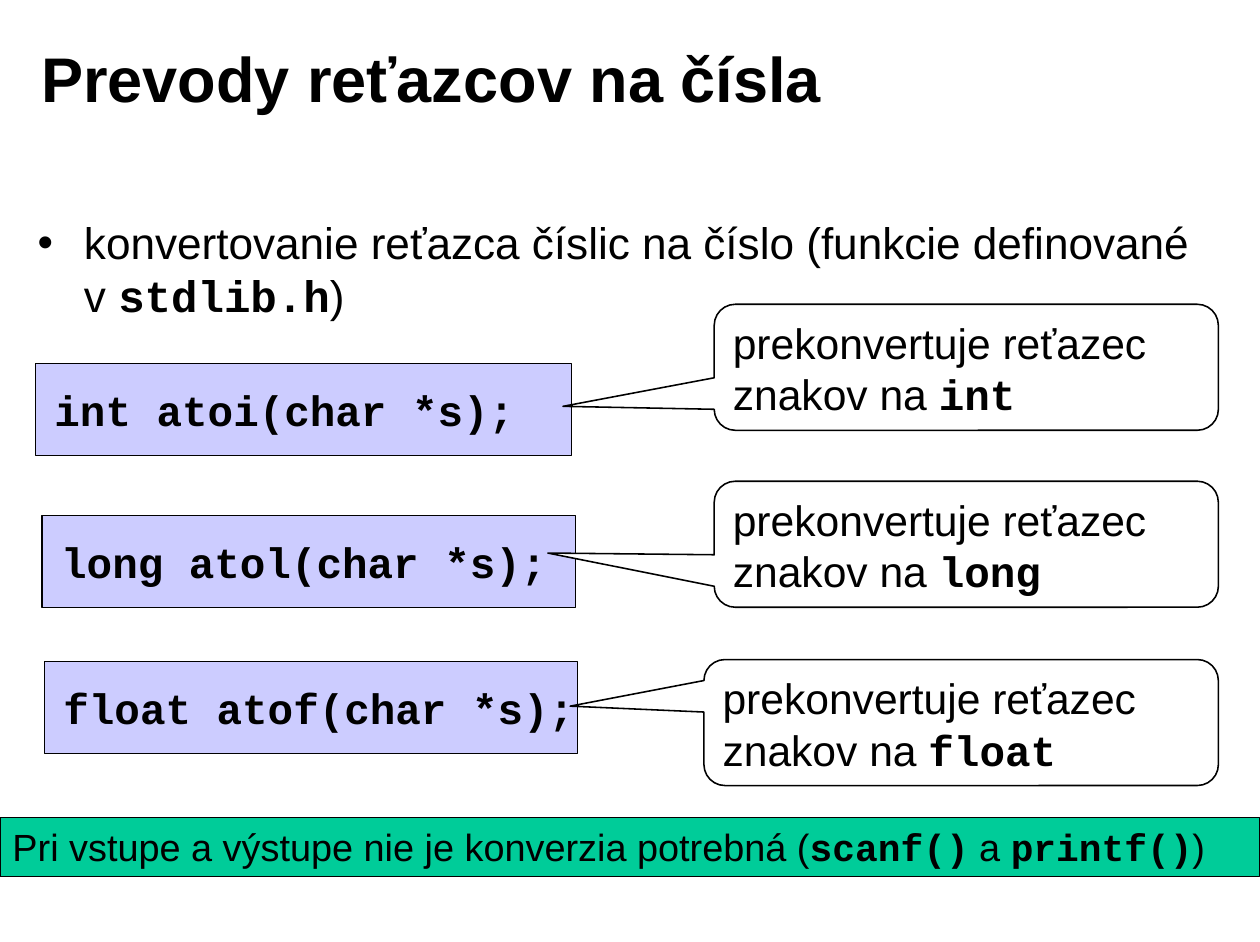
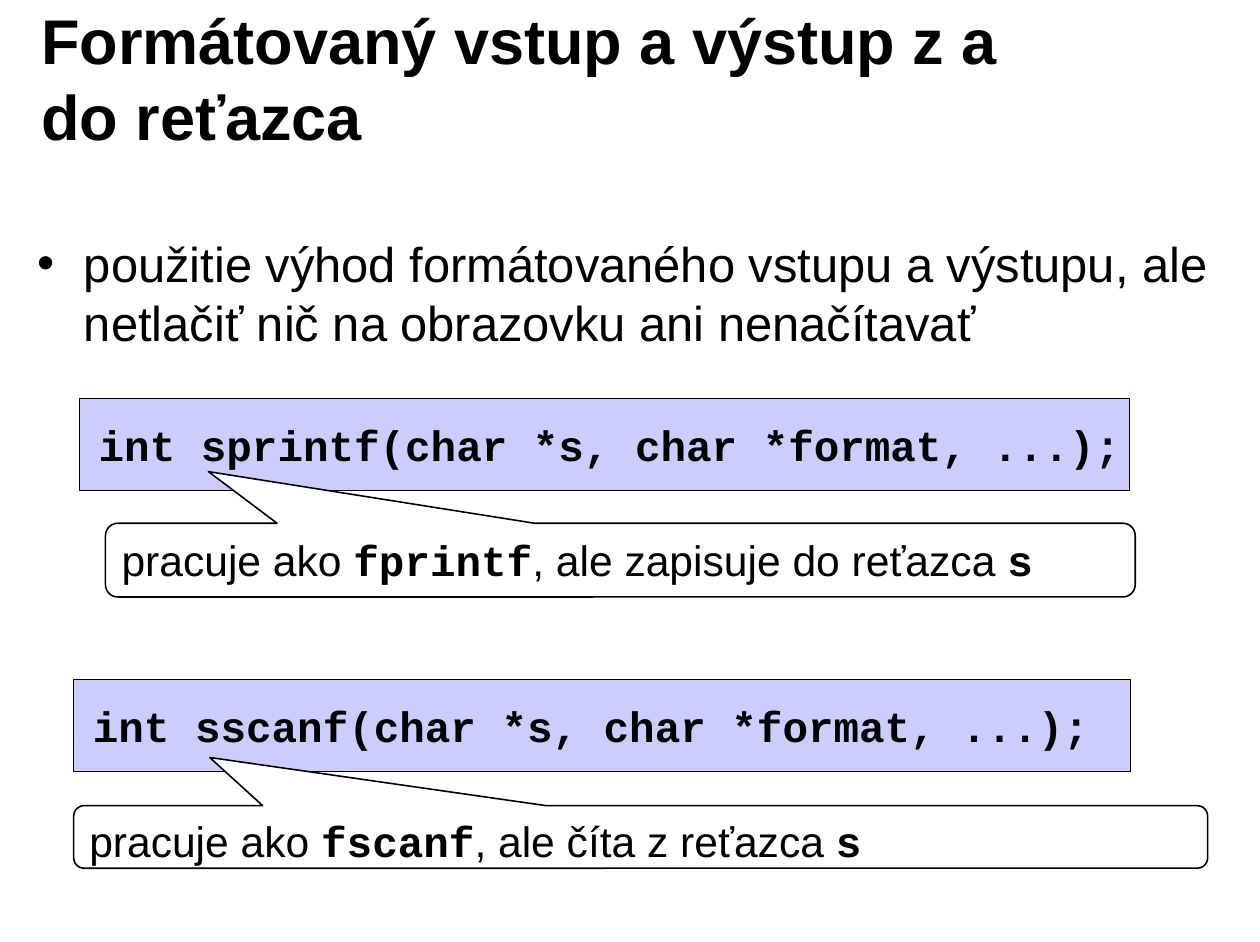
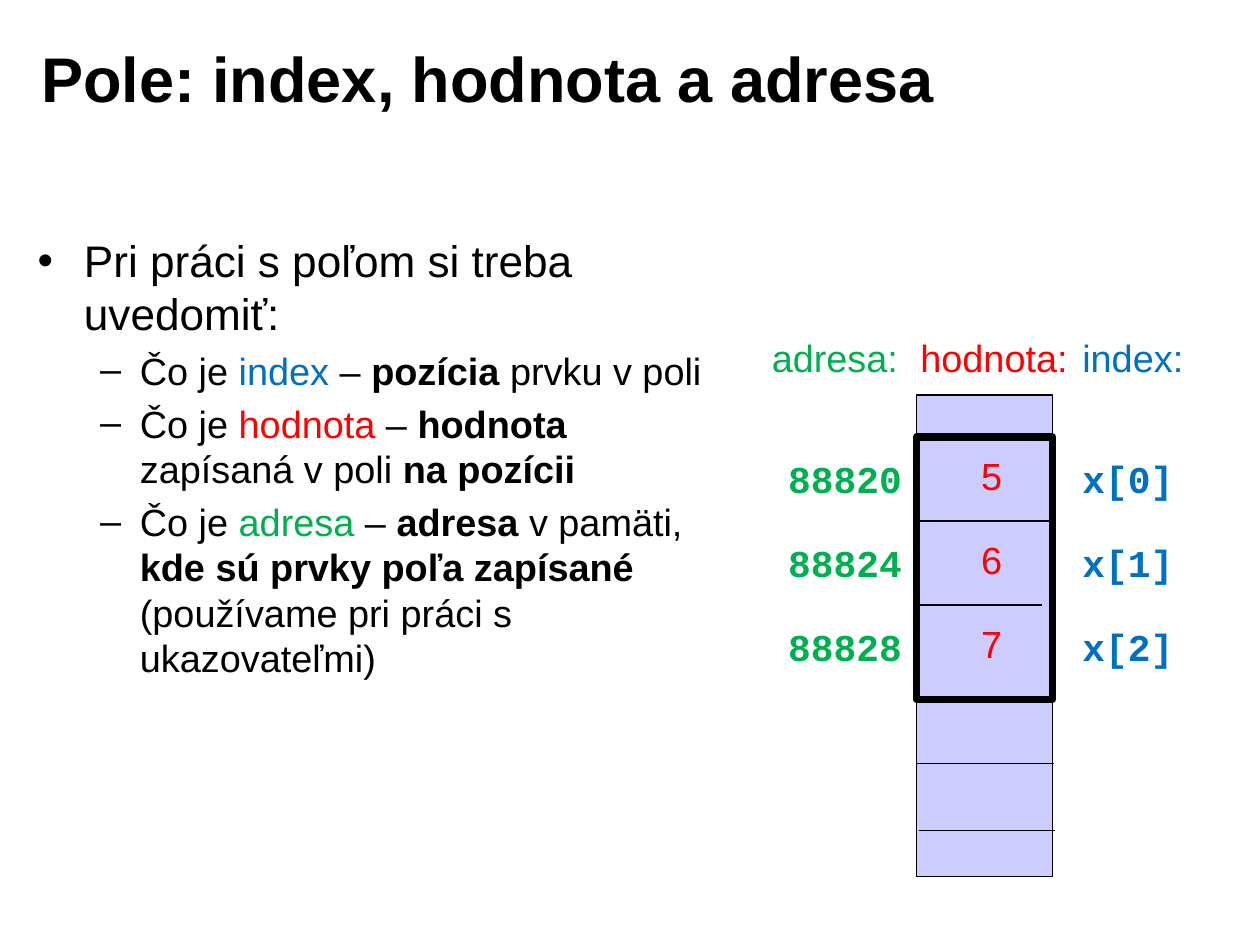
from dataclasses import dataclass

from lxml.etree import SubElement as Sub
from pptx import Presentation
from pptx.dml.color import RGBColor
from pptx.enum.shapes import MSO_CONNECTOR as Link, MSO_SHAPE as Form
from pptx.enum.text import MSO_ANCHOR as Anchor, PP_ALIGN as Align
from pptx.oxml.ns import qn
from pptx.util import Cm, Pt

BLACK = RGBColor(0x00, 0x00, 0x00)
WHITE = RGBColor(0xFF, 0xFF, 0xFF)
LILAC = RGBColor(0xCC, 0xCC, 0xFF)
TEAL = RGBColor(0x00, 0xCC, 0x99)
BLUE = RGBColor(0x00, 0x70, 0xC0)
RED = RGBColor(0xFF, 0x00, 0x00)
GREEN = RGBColor(0x00, 0xB0, 0x50)

SANS = "Arial"
MONO = "Courier New"
WIDE, HIGH = 28.19, 21.08
PAD = (0.28, 0.15, 0.28, 0.15)
BULLETS = (("•", 1.04, -1.04), ("–", 2.29, -0.89))


@dataclass
class Part:
    text: str
    font: str = SANS
    bold: bool = False
    hue: RGBColor = BLACK


def code(text, hue=BLACK):
    return Part(text, MONO, True, hue)


def strong(text):
    return Part(text, bold=True)


def tint(text, hue):
    return Part(text, hue=hue)


def write(par, parts, size):
    for part in parts:
        if isinstance(part, str):
            part = Part(part)
        run = par.add_run()
        run.text = part.text
        run.font.name = part.font
        run.font.size = Pt(size)
        run.font.bold = part.bold
        run.font.color.rgb = part.hue


def place(x, y, w, h):
    return Cm(x), Cm(y), Cm(w), Cm(h)


def setup(shape, pad=PAD, anchor=Anchor.TOP, wrap=True):
    frame = shape.text_frame
    frame.word_wrap = wrap
    frame.vertical_anchor = anchor
    (frame.margin_left, frame.margin_top,
     frame.margin_right, frame.margin_bottom) = map(Cm, pad)
    return frame


def add_box(slide, form, area, fill, weight=0.75):
    box = slide.shapes.add_shape(form, *place(*area))
    box.shadow.inherit = False
    if fill is None:
        box.fill.background()
    else:
        box.fill.solid()
        box.fill.fore_color.rgb = fill
    box.line.color.rgb = BLACK
    box.line.width = Pt(weight)
    return box


def fill_box(box, parts, size, **look):
    par = setup(box, **look).paragraphs[0]
    par.alignment = Align.LEFT
    write(par, parts, size)


def add_title(slide, text):
    box = slide.shapes.add_textbox(*place(0.64, 0.43, 22.63, 2.59))
    frame = setup(box, anchor=Anchor.MIDDLE)
    write(frame.paragraphs[0], [strong(text)], 40)


def add_list(slide, area, items):
    frame = setup(slide.shapes.add_textbox(*place(*area)))
    for i, (level, size, parts) in enumerate(items):
        par = frame.add_paragraph() if i else frame.paragraphs[0]
        par.level = level
        mark, left, hang = BULLETS[level]
        props = par._p.get_or_add_pPr()
        props.set("marL", str(Cm(left)))
        props.set("indent", str(Cm(hang)))
        Sub(Sub(props, qn("a:spcBef")), qn("a:spcPct")).set("val", "20000")
        Sub(props, qn("a:buFont")).set("typeface", SANS)
        Sub(props, qn("a:buChar")).set("char", mark)
        write(par, parts, size)


def add_code(slide, x, y, w, text):
    box = add_box(slide, Form.RECTANGLE, (x, y, w, 2.06), LILAC)
    fill_box(box, [code(text)], 27, pad=(0.43, 0.15, 0, 0.15),
             anchor=Anchor.MIDDLE)


def add_note(slide, area, tip, parts):
    box = add_box(slide, Form.ROUNDED_RECTANGULAR_CALLOUT, area, WHITE, 1)
    for i, value in enumerate(tip):
        box.adjustments[i] = value
    fill_box(box, parts, 27)


def add_label(slide, x, y, w, part):
    box = slide.shapes.add_textbox(*place(x, y, w, 1.28))
    frame = setup(box, pad=(0.25, 0.13, 0.25, 0.13), wrap=False)
    par = frame.paragraphs[0]
    par.alignment = Align.CENTER
    write(par, [part], 24)


def add_rule(slide, left, right, y):
    line = slide.shapes.add_connector(
        Link.STRAIGHT, Cm(left), Cm(y), Cm(right), Cm(y))
    line.line.color.rgb = BLACK
    line.line.width = Pt(0.75)
    Sub(line._element.spPr, qn("a:effectLst"))


def show_casts(slide):
    add_title(slide, "Prevody reťazcov na čísla")
    add_list(slide, (0.56, 4.67, 26.7, 3.45), [
        (0, 28, ["konvertovanie reťazca číslic na číslo (funkcie definované v ",
                 code("stdlib.h"), ")"])])
    rows = (
        ("int", "atoi", (0.79, 8.13, 11.99), (15.98, 6.81), (-0.8, 0.31)),
        ("long", "atol", (0.94, 11.53, 11.94), (15.98, 10.77), (-0.83, 0.07)),
        ("float", "atof", (0.99, 14.81, 11.94), (15.75, 14.76), (-0.76, -0.13)),
    )
    for kind, name, spot, (x, y), tip in rows:
        add_code(slide, *spot, f"{kind} {name}(char *s);")
        add_note(slide, (x, y, 27.26 - x, 2.82), tip,
                 ["prekonvertuje reťazec znakov na ", code(kind)])
    band = add_box(slide, Form.RECTANGLE, (0, 18.29, WIDE, 1.32), TEAL)
    fill_box(band, ["Pri vstupe a výstupe nie je konverzia potrebná (",
                    code("scanf()"), " a ", code("printf()"), ")"], 24)


def show_format(slide):
    add_title(slide, "Formátovaný vstup a výstup z a do reťazca")
    add_list(slide, (0.56, 5.08, 27.08, 3.6), [
        (0, 31, ["použitie výhod formátovaného vstupu a výstupu, "
                 "ale netlačiť nič na obrazovku ani nenačítavať"])])
    rows = (
        ("printf", ", ale zapisuje do reťazca ", (1.78, 8.92, 23.5),
         (2.36, 11.71, 23.04, 1.65), (-0.4, -1.2)),
        ("scanf", ", ale číta z reťazca ", (1.65, 15.21, 23.65),
         (1.65, 18.03, 25.37, 1.4), (-0.38, -1.27)),
    )
    for name, text, spot, area, tip in rows:
        add_code(slide, *spot, f"int s{name}(char *s, char *format, ...);")
        add_note(slide, area, tip,
                 ["pracuje ako ", code("f" + name), text, code("s")])


def show_array(slide):
    add_title(slide, "Pole: index, hodnota a adresa")
    add_list(slide, (0.56, 5.08, 16.03, 13.54), [
        (0, 28, ["Pri práci s poľom si treba uvedomiť:"]),
        (1, 24, ["Čo je ", tint("index", BLUE), " – ", strong("pozícia"),
                 " prvku v poli"]),
        (1, 24, ["Čo je ", tint("hodnota", RED), " – ", strong("hodnota"),
                 " zapísaná v poli ", strong("na pozícii")]),
        (1, 24, ["Čo je ", tint("adresa", GREEN), " – ", strong("adresa"),
                 " v pamäti, ", strong("kde sú prvky poľa zapísané "),
                 "(používame pri práci s ukazovateľmi)"]),
    ])
    add_box(slide, Form.RECTANGLE, (20.5, 8.84, 3.05, 10.77), LILAC)
    for left, right, y in ((20.5, 23.55, 11.66), (20.5, 23.32, 13.54),
                           (20.5, 23.57, 17.09), (20.55, 23.6, 18.59)):
        add_rule(slide, left, right, y)
    add_box(slide, Form.RECTANGLE, (20.5, 9.78, 3.05, 5.87), None, 4.5)
    for x, w, text, hue in ((16.99, 3.38, "adresa:", GREEN),
                            (20.32, 3.84, "hodnota:", RED),
                            (23.95, 2.79, "index:", BLUE)):
        add_label(slide, x, 7.37, w, tint(text, hue))
    for i in range(3):
        y = 10.06 + 1.88 * i
        add_label(slide, 17.37, y, 3.07, code(str(88820 + 4 * i), GREEN))
        add_label(slide, 21.13, y - 0.05, 2.11, tint(str(5 + i), RED))
        add_label(slide, 23.95, y, 2.57, code(f"x[{i}]", BLUE))


def main():
    deck = Presentation()
    deck.slide_width, deck.slide_height = Cm(WIDE), Cm(HIGH)
    for show in (show_casts, show_format, show_array):
        show(deck.slides.add_slide(deck.slide_layouts[6]))
    deck.save("out.pptx")


if __name__ == "__main__":
    main()
